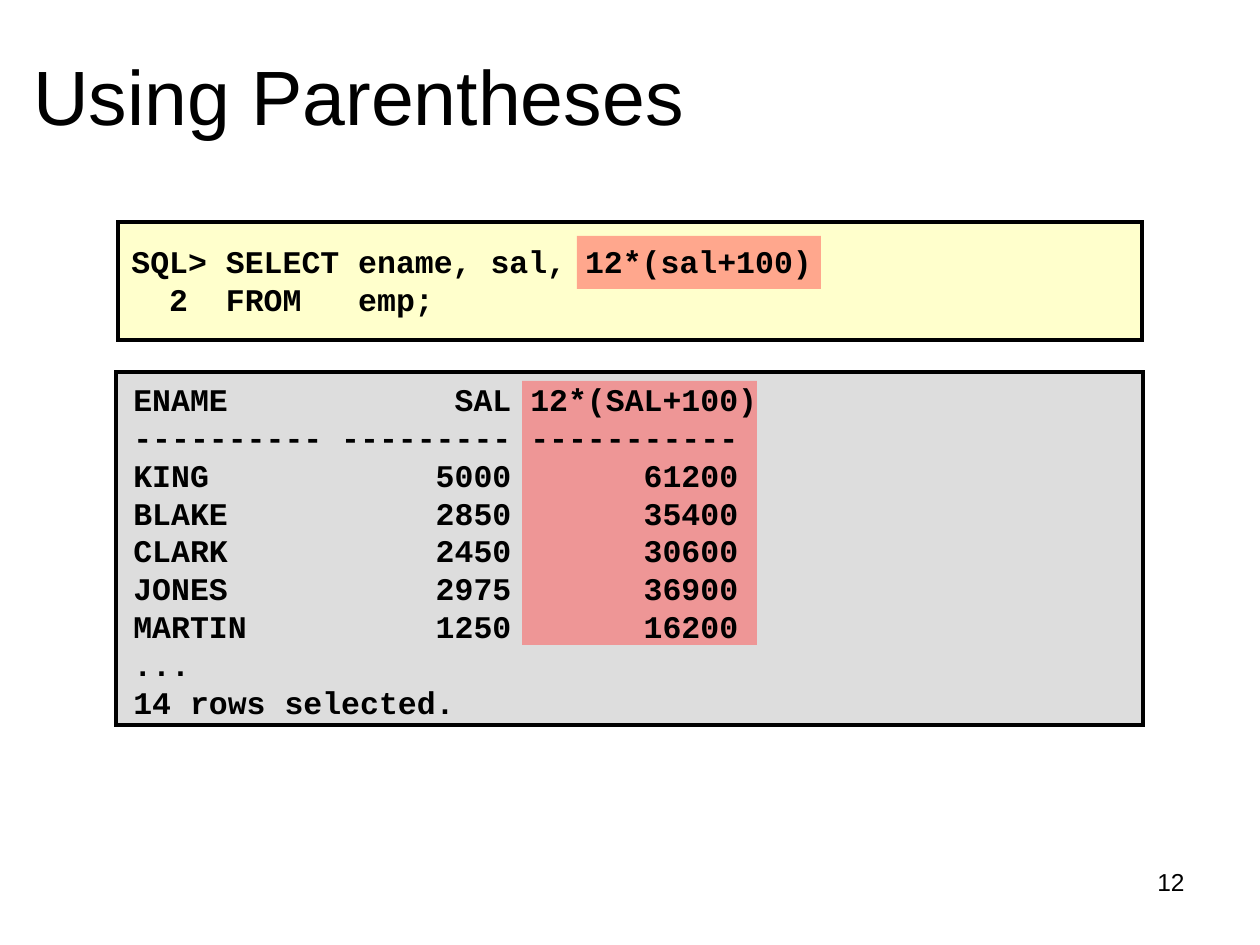
from lxml.etree import SubElement
from pptx import Presentation
from pptx.dml.color import RGBColor
from pptx.enum.shapes import MSO_SHAPE
from pptx.enum.text import MSO_ANCHOR, PP_ALIGN
from pptx.oxml.ns import qn
from pptx.util import Emu, Pt

PX = 914400 // 126
COLORS = {"ink": "000000", "query": "FFFFCC", "result": "DDDDDD", "mark": "FF5050"}

QUERY = [
    "SQL> SELECT ename, sal, 12*(sal+100)",
    "  2  FROM   emp;",
]
RESULT = [
    "ENAME            SAL 12*(SAL+100)",
    "---------- --------- -----------",
    "KING            5000       61200",
    "BLAKE           2850       35400",
    "CLARK           2450       30600",
    "JONES           2975       36900",
    "MARTIN          1250       16200",
    "...",
    "14 rows selected.",
]

# Left, top, width, height in px
PANELS = [((118, 222, 1024, 118), "query"), ((116, 372, 1027, 353), "result")]
MARKS = [(577, 236, 244, 53), (522, 381, 235, 264)]

PLAIN = {"name": "Arial", "bold": False}
CODE = {"name": "Courier New", "bold": True, "size": Pt(18)}
TEXTS = [
    # box, lines, font, paragraph format, frame format
    ((21, 42, 1071, 158), ["Using Parentheses"], {**PLAIN, "size": Pt(44)}, {}, {}),
    ((119, 219, 1028, 122), QUERY, CODE, {},
     {"vertical_anchor": MSO_ANCHOR.MIDDLE}),
    ((121, 374, 1023, 353), RESULT, CODE, {}, {}),
    ((903, 861, 294, 66), ["12"], {**PLAIN, "size": Pt(14)},
     {"alignment": PP_ALIGN.RIGHT}, {}),
]


def emu(box):
    return [Emu(v * PX) for v in box]


def set_all(target, values):
    for name, value in values.items():
        setattr(target, name, value)


def add_rect(s, box, color):
    sp = s.shapes.add_shape(MSO_SHAPE.RECTANGLE, *emu(box))
    sp.shadow.inherit = False
    sp.fill.solid()
    sp.fill.fore_color.rgb = RGBColor.from_string(COLORS[color])
    return sp


def add_text(s, box, lines, font, para, frame):
    tf = s.shapes.add_textbox(*emu(box)).text_frame
    set_all(tf, {"word_wrap": True, **frame})
    for i, line in enumerate(lines):
        p = tf.add_paragraph() if i else tf.paragraphs[0]
        set_all(p, para)
        r = p.add_run()
        r.text = line
        set_all(r.font, font)
        r.font.color.rgb = RGBColor.from_string(COLORS["ink"])


prs = Presentation()
prs.slide_width, prs.slide_height = emu((1260, 945))
s = prs.slides.add_slide(prs.slide_layouts[6])

# Query and result panels with square corners
for box, color in PANELS:
    sp = add_rect(s, box, color)
    sp.line.color.rgb = RGBColor.from_string(COLORS["ink"])
    sp.line.width = Pt(2)
    outline = sp.fill._xPr.find(qn("a:ln"))
    SubElement(outline, qn("a:miter"), lim="800000")

# Half-transparent marks on the expression and its column
for box in MARKS:
    sp = add_rect(s, box, "mark")
    sp.line.fill.background()
    tint = sp.fill._xPr.find(qn("a:solidFill"))[0]
    SubElement(tint, qn("a:alpha"), val="50000")

# Title, code and slide number
for text in TEXTS:
    add_text(s, *text)

prs.save("out.pptx")
